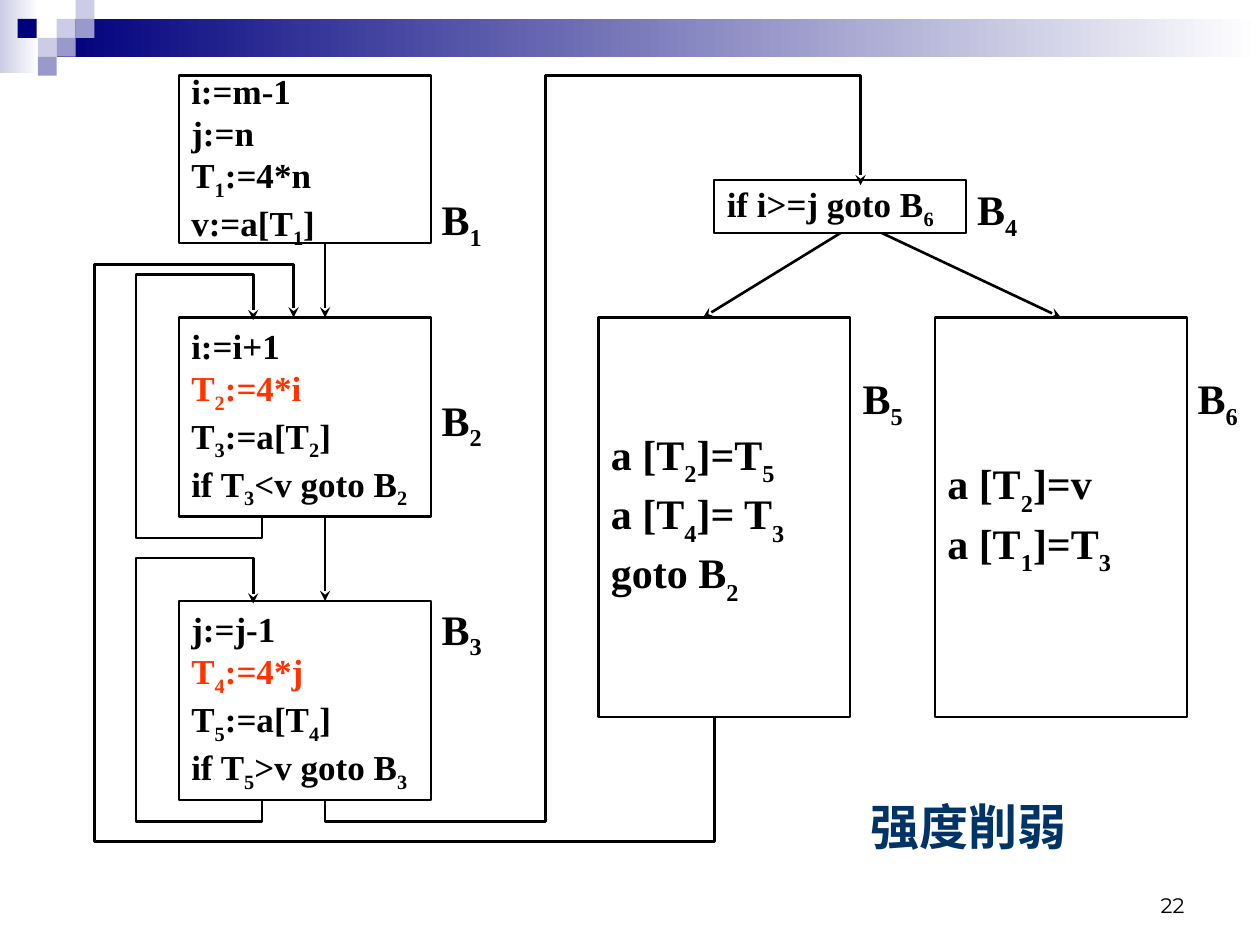
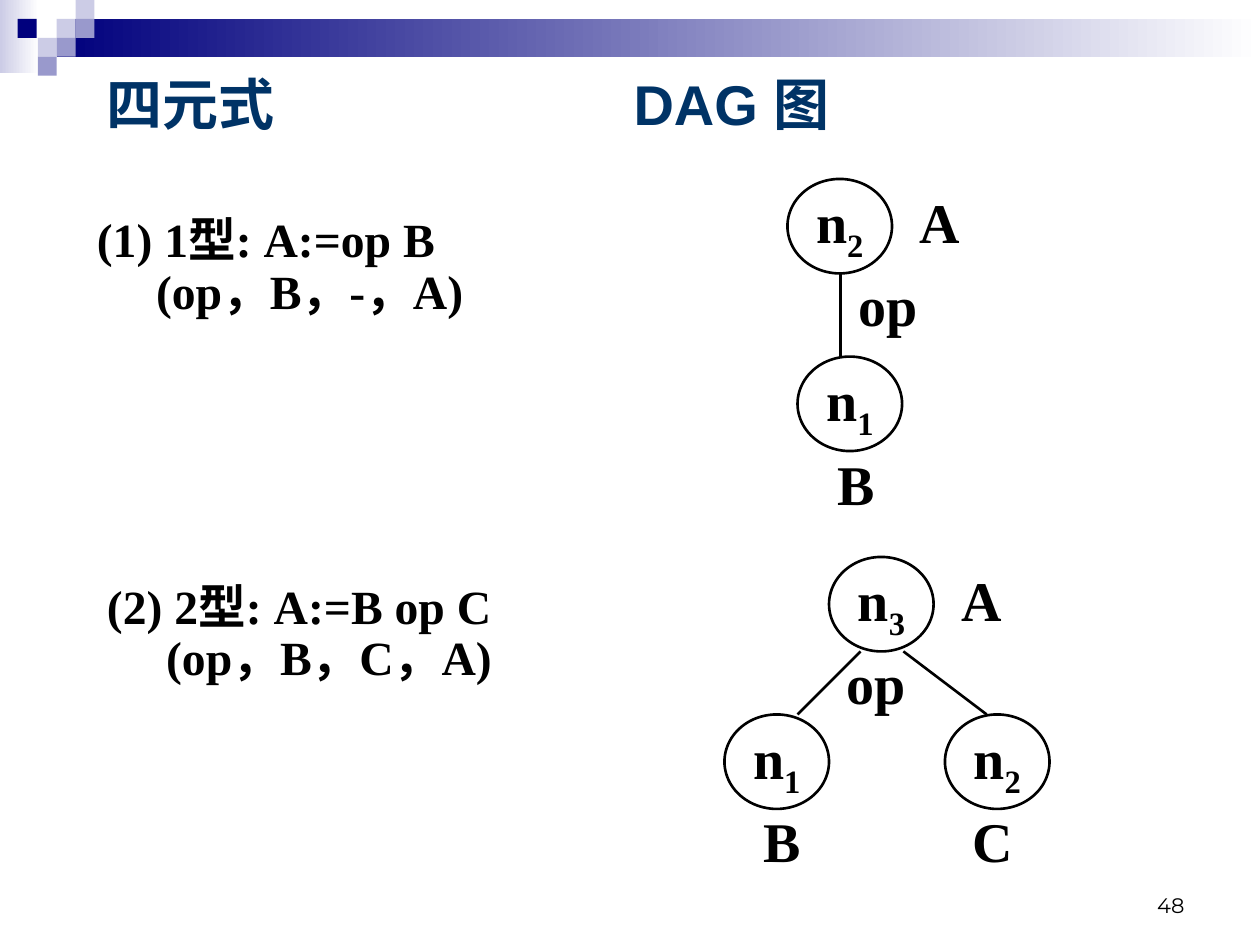
from lxml import etree
from pptx import Presentation
from pptx import util as u
from pptx.dml.color import RGBColor
from pptx.enum import shapes, text
from pptx.oxml.ns import qn

COLORS = {"ink": "000000", "title": "003366", "accent": "FF3300", "navy": "00007D",
          "pale": "CCCCE6", "mid": "9999CC", "white": "FFFFFF"}
SERIF, SANS, CJK, NUMBER = "Times New Roman", "Arial", "Noto Sans CJK SC", "Montserrat"
RECTANGLE, OVAL = shapes.MSO_SHAPE.RECTANGLE, shapes.MSO_SHAPE.OVAL
MIDDLE, BOTTOM = text.MSO_ANCHOR.MIDDLE, text.MSO_ANCHOR.BOTTOM
CENTER, RIGHT = text.PP_ALIGN.CENTER, text.PP_ALIGN.RIGHT

BANDS = [(0, 0, 0.31, 0.58, "pale"), (0.45, 0.15, 9.55, 0.3, "navy")]
TILE = 0.15
TILES = [(0.45, 0.15, "pale"), (0.6, 0, "pale"), (0.6, 0.15, "mid"), (0.3, 0.3, "pale"),
         (0.14, 0.15, "navy"), (0.45, 0.3, "mid"), (0.3, 0.45, "mid")]

BLOCKS = [
    {"at": (1.42, 0.6, 2, 1.33), "label": ("B_1", 3.33, 1.43), "size": 20,
     "lines": ["i:=m-1", "j:=n", "T_1:=4*n", "v:=a[T_1]"]},
    {"at": (1.42, 2.52, 2, 1.58), "label": ("B_2", 3.33, 3.02), "size": 20, "accent_line": 1,
     "lines": ["i:=i+1", "T_2:=4*i", "T_3:=a[T_2]", "if T_3<v goto B_2"]},
    {"at": (1.42, 4.77, 2, 1.58), "label": ("B_3", 3.33, 4.68), "size": 20, "accent_line": 1,
     "lines": ["j:=j-1", "T_4:=4*j", "T_5:=a[T_4]", "if T_5>v goto B_3"]},
    {"at": (5.67, 1.43, 2, 0.42), "label": ("B_4", 7.58, 1.35), "size": 20,
     "lines": ["if i>=j goto B_6"]},
    {"at": (4.75, 2.52, 2, 3.17), "label": ("B_5", 6.67, 2.85), "size": 24, "drop": 30,
     "lines": ["a [T_2]=T_5", "a [T_4]= T_3", "goto B_2"]},
    {"at": (7.42, 2.52, 2, 3.17), "label": ("B_6", 9.33, 2.85), "size": 24, "drop": 30,
     "lines": ["a [T_2]=v", "a [T_1]=T_3"]},
]
FLOW_ARROWS = [(2.58, 1.93, 2.58, 2.52), (2.58, 4.1, 2.58, 4.77),
               (6.67, 1.85, 5.58, 2.52), (7, 1.85, 8.42, 2.52)]
SELF_LOOP = [(2.08, 4.09), (2.08, 4.27), (1.08, 4.27), (1.08, 2.18), (2.01, 2.18), (2.01, 2.54)]
LOOP_STEP = 2.25
FLOW_ROUTES = [
    [(2.58, 6.34), (2.58, 6.52), (4.33, 6.52), (4.33, 0.6), (6.83, 0.6), (6.83, 1.47)],
    [(5.67, 5.68), (5.67, 6.68), (0.75, 6.68), (0.75, 2.1), (2.33, 2.1), (2.33, 2.52)],
] + [[(x, y + step) for x, y in SELF_LOOP] for step in (0, LOOP_STEP)]

HEADING = "四元式\tDAG 图"
FORMS = [(0.67, 1.67, ["(1) 1型: A:=op B", "(op，B，-，A)"]),
         (0.75, 4.58, ["(2) 2型: A:=B op C", "(op，B，C，A)"])]
NODES = [("n_1", 6.33, 2.83), ("n_2", 6.25, 1.42),
         ("n_2", 7.5, 5.67), ("n_1", 5.75, 5.67), ("n_3", 6.58, 4.42)]
NODE_LABELS = [("A", 7.08, 1.42), ("B", 6.42, 3.5), ("op", 6.67, 2.08),
               ("A", 7.42, 4.42), ("B", 5.83, 6.33), ("op", 6.58, 5.08), ("C", 7.5, 6.33)]
EDGES = [(6.67, 2.17, 6.67, 2.83), (6.83, 5.17, 6.33, 5.67), (7.17, 5.17, 7.83, 5.67)]


def color(name):
    return RGBColor.from_string(COLORS[name])


def inches(*lengths):
    return [u.Inches(length) for length in lengths]


def add_span(para, words, size, font, bold, ink, drop=0):
    span = para.add_run()
    span.text = words
    span.font.size, span.font.bold, span.font.name = u.Pt(size), bold, font
    span.font.color.rgb = color(ink)
    properties = span.font._element
    etree.SubElement(properties, qn("a:ea")).set("typeface", CJK)
    if drop:
        properties.set("baseline", str(-drop * 1000))


def write(box, lines, size=24, font=SERIF, bold=True, ink="ink", accent_line=None, drop=25,
          align=None, anchor=None, spacing=None, indent=0, tab=None):
    frame = box.text_frame
    frame.word_wrap = align != CENTER
    frame.vertical_anchor = anchor
    for number, line in enumerate(lines):
        para = frame.add_paragraph() if number else frame.paragraphs[0]
        para.alignment = align or text.PP_ALIGN.LEFT
        para.line_spacing = spacing
        properties = para._p.get_or_add_pPr()
        if indent and number:
            properties.set("marL", str(u.Inches(indent)))
        if tab:
            stops = etree.SubElement(properties, qn("a:tabLst"))
            etree.SubElement(stops, qn("a:tab"), pos=str(u.Inches(tab)), algn="l")
        shade = "accent" if number == accent_line else ink
        first, *rest = line.split("_")
        add_span(para, first, size, font, bold, shade)
        for part in rest:
            add_span(para, part[0], size, font, bold, shade, drop)
            if part[1:]:
                add_span(para, part[1:], size, font, bold, shade)


def add_text(page, at, lines, **style):
    write(page.shapes.add_textbox(*inches(*at)), lines, **style)


def add_outline(page, kind, at, width):
    box = page.shapes.add_shape(kind, *inches(*at))
    box.shadow.inherit = False
    box.fill.background()
    box.line.color.rgb, box.line.width = color("ink"), u.Pt(width)
    return box


def style_line(line_shape, arrow):
    line_shape.line.color.rgb, line_shape.line.width = color("ink"), u.Pt(1.5)
    if arrow:
        etree.SubElement(line_shape.line._get_or_add_ln(), qn("a:tailEnd"), type="stealth")


def add_line(page, ends, arrow=False):
    line = page.shapes.add_connector(shapes.MSO_CONNECTOR.STRAIGHT, *inches(*ends))
    style_line(line, arrow)
    etree.SubElement(line._element.spPr, qn("a:effectLst"))


def add_route(page, points):
    start, *rest = [inches(*point) for point in points]
    builder = page.shapes.build_freeform(*start)
    builder.add_line_segments(rest, close=False)
    route = builder.convert_to_shape()
    route.shadow.inherit = False
    route.fill.background()
    style_line(route, True)


def add_block(page, left, top, width, height, fill, fade=False):
    block = page.shapes.add_shape(RECTANGLE, *inches(left, top, width, height))
    block.shadow.inherit = False
    block.line.fill.background()
    if fade:
        block.fill.gradient()
        block.fill.gradient_angle = 0
        for stop, shade in zip(block.fill.gradient_stops, (fill, "white")):
            stop.color.rgb = color(shade)
    else:
        block.fill.solid()
        block.fill.fore_color.rgb = color(fill)


def add_page(deck, number):
    page = deck.slides.add_slide(deck.slide_layouts[6])
    for band in BANDS:
        add_block(page, *band, fade=True)
    for left, top, fill in TILES:
        add_block(page, left, top, TILE, TILE, fill)
    add_text(page, (7.17, 6.83, 2.33, 0.5), [number], size=12, font=NUMBER, bold=False,
             align=RIGHT, anchor=BOTTOM)
    return page


def build_flow(deck):
    page = add_page(deck, "22")
    add_text(page, (6.81, 6.27, 2.28, 0.57), ["强度削弱"], size=28, font=CJK, ink="title")
    for block in BLOCKS:
        box = add_outline(page, RECTANGLE, block["at"], 1.25)
        write(box, block["lines"], size=block["size"], drop=block.get("drop", 25),
              accent_line=block.get("accent_line"), anchor=MIDDLE)
        name, left, top = block["label"]
        add_text(page, (left, top, 0.67, 0.67), [name], align=CENTER, anchor=MIDDLE)
    for ends in FLOW_ARROWS:
        add_line(page, ends, arrow=True)
    for points in FLOW_ROUTES:
        add_route(page, points)


def build_graphs(deck):
    page = add_page(deck, "48")
    add_text(page, (0.75, 0.5, 8.33, 0.75), [HEADING], size=32, font=SANS, ink="title", tab=4.18)
    for left, top, lines in FORMS:
        add_text(page, (left, top, 3.92, 1.42), lines, size=27.2, spacing=0.9, indent=0.47)
    for name, left, top in NODES:
        node = add_outline(page, OVAL, (left, top, 0.83, 0.75), 1.5)
        write(node, [name], size=32, align=CENTER, anchor=MIDDLE)
    for name, left, top in NODE_LABELS:
        add_text(page, (left, top, 0.75, 0.67), [name], size=32, align=CENTER, anchor=MIDDLE)
    for ends in EDGES:
        add_line(page, ends)


def main():
    deck = Presentation()
    deck.slide_width, deck.slide_height = inches(10, 7.5)
    build_flow(deck)
    build_graphs(deck)
    deck.save("out.pptx")


if __name__ == "__main__":
    main()
